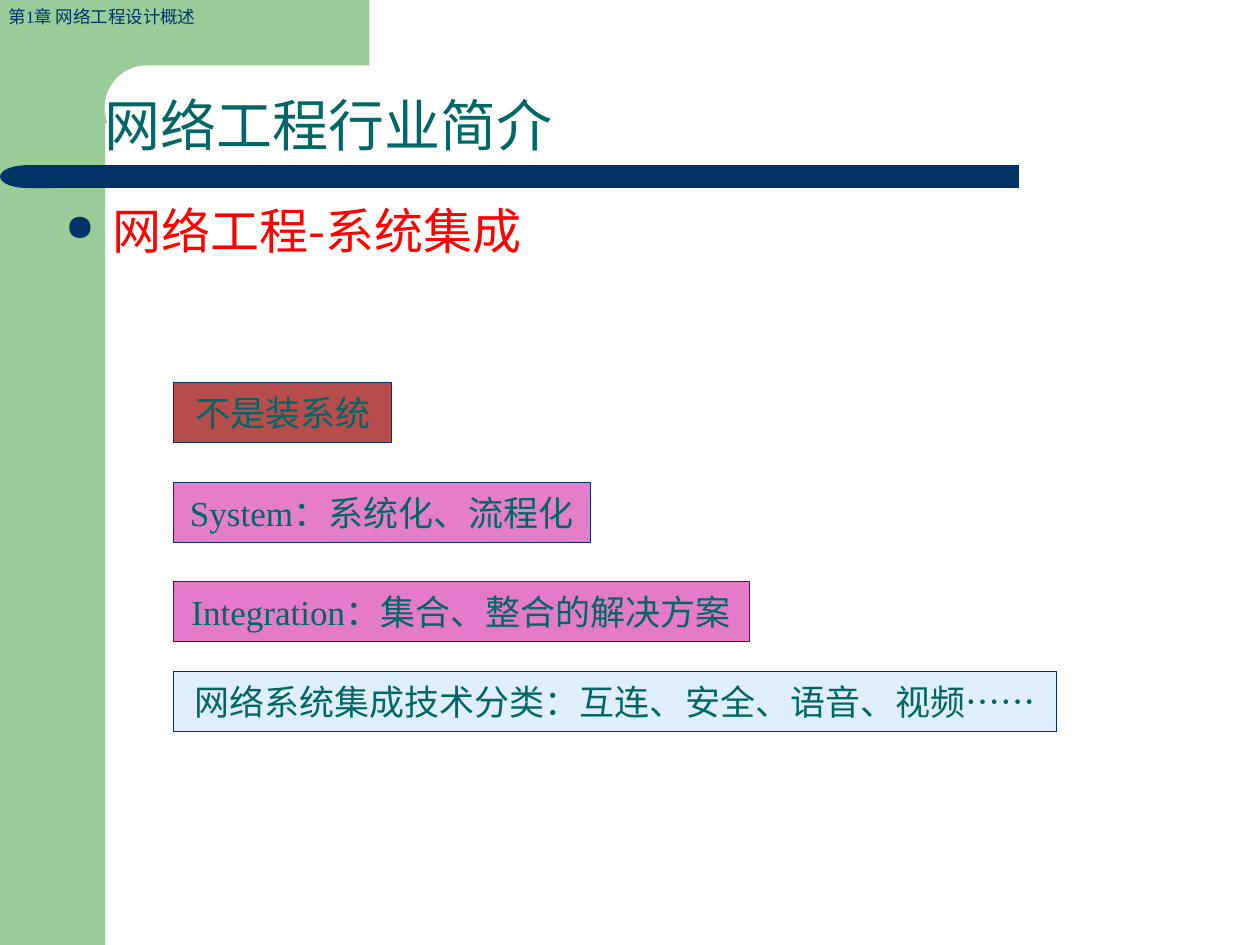
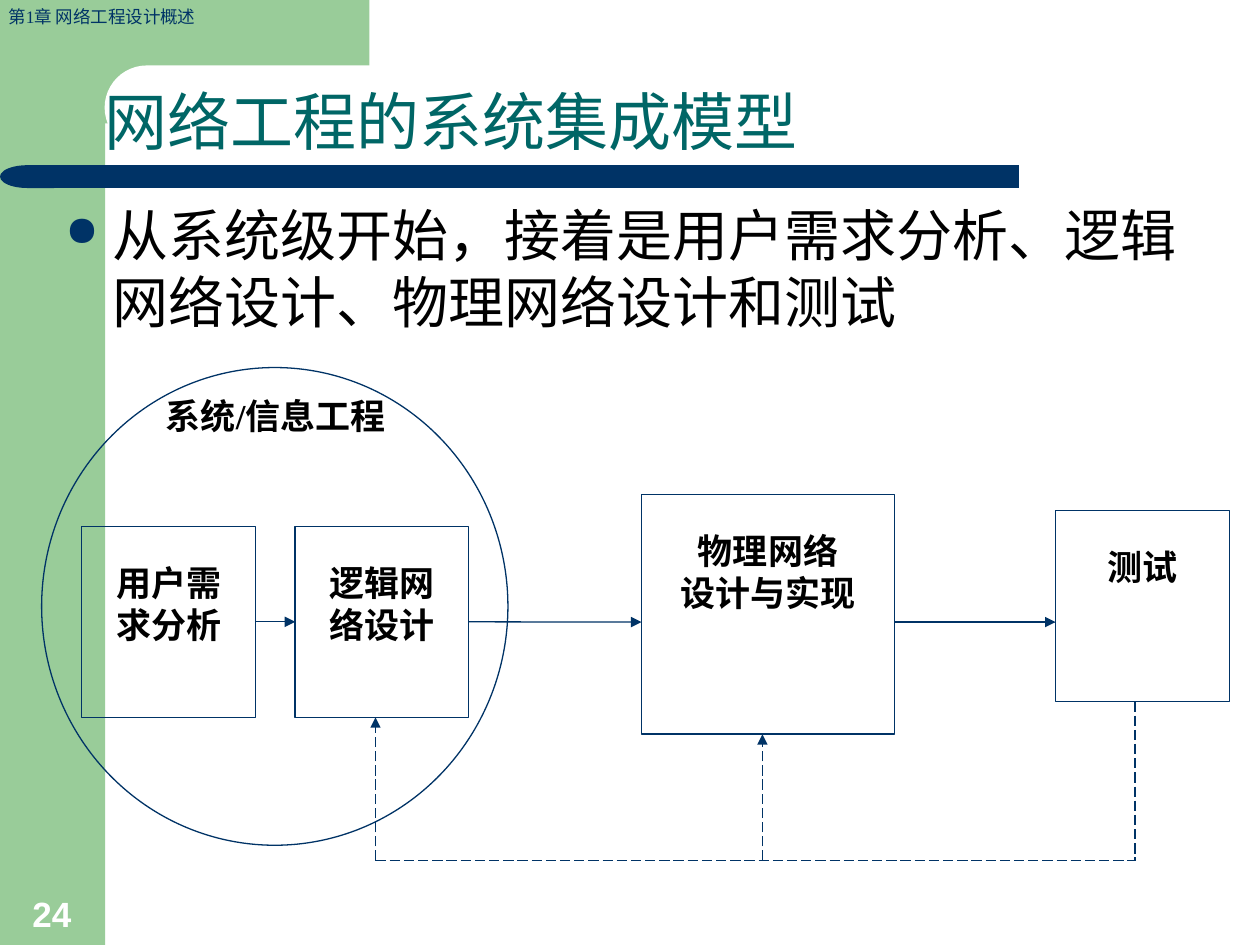
from lxml.etree import SubElement
from pptx import Presentation
from pptx.dml.color import RGBColor
from pptx.enum.dml import MSO_LINE
from pptx.enum.shapes import MSO_CONNECTOR, MSO_SHAPE
from pptx.enum.text import MSO_ANCHOR, MSO_AUTO_SIZE, PP_ALIGN
from pptx.oxml.ns import qn
from pptx.util import Cm, Pt

NAVY = RGBColor(0x00, 0x33, 0x66)
GREEN = RGBColor(0x99, 0xCC, 0x99)
TEAL = RGBColor(0x00, 0x66, 0x66)
DARK_RED = RGBColor(0x99, 0x00, 0x00)
MAGENTA = RGBColor(0xCC, 0x00, 0x99)
LIGHT_BLUE = RGBColor(0x99, 0xCC, 0xFF)
RED = RGBColor(0xFF, 0x00, 0x00)
BLACK = RGBColor(0x00, 0x00, 0x00)
WHITE = RGBColor(0xFF, 0xFF, 0xFF)
SERIF, SANS, CJK = "Times New Roman", "Arial", "Noto Sans CJK SC"

CHAPTER = "第1章 网络工程设计概述"
PAGE_NUMBER = "24"
INDUSTRY_TITLE = "网络工程行业简介"
INDUSTRY_POINT = "网络工程-系统集成"
MODEL_TITLE = "网络工程的系统集成模型"
MODEL_POINT = "从系统级开始，接着是用户需求分析、逻辑网络设计、物理网络设计和测试"
CIRCLE_LABEL = "系统/信息工程"

# All positions and sizes below are in centimetres.
FRAME_PARTS = [  # preset, left, top, width, height, colour
    (MSO_SHAPE.RECTANGLE, 0, 0, 2.12, 19.05, GREEN),
    (MSO_SHAPE.RECTANGLE, 1.3, 0, 6.15, 2.5 - 0.01, GREEN),
    (MSO_SHAPE.ROUNDED_RECTANGLE, 2.11, 1.32, 14.17, 1.7, WHITE),
    (MSO_SHAPE.RECTANGLE, 1.07, 3.33, 19.47, 0.46, NAVY),
    (MSO_SHAPE.FLOWCHART_DELAY, 0, 3.33, 1.09, 0.46, NAVY),
]
STATEMENTS = [  # text, top, width, colour, opacity in percent
    ("不是装系统", 7.72, 4.4, DARK_RED, 70),
    ("System：系统化、流程化", 9.73, 8.4, MAGENTA, 51),
    ("Integration：集合、整合的解决方案", 11.73, 11.6, MAGENTA, 52),
    ("网络系统集成技术分类：互连、安全、语音、视频……", 13.54, 17.8, LIGHT_BLUE, 31),
]
STAGES = {  # name: (lines, left, top, width, height)
    "needs": (["用户需", "求分析"], 1.65, 10.61, 3.5, 3.85),
    "logical": (["逻辑网", "络设计"], 5.95, 10.61, 3.5, 3.85),
    "physical": (["物理网络", "设计与实现"], 12.93, 9.97, 5.11, 4.83),
    "test": (["测试"], 21.28, 10.29, 3.5, 3.85),
}
FLOW_Y = 12.54
FEEDBACK_Y = 17.35
FEEDBACK_X = {"logical": 7.57, "physical": 15.37, "test": 22.88}


def write_text(shape, *lines, size, color, font=SERIF, bold=False, align=PP_ALIGN.LEFT,
               anchor=MSO_ANCHOR.TOP, wrap=True, top_inset=0.13):
    """Fill a shape with one paragraph per line and return the paragraphs."""
    frame = shape.text_frame
    frame.text = "\n".join(lines)
    frame.word_wrap = wrap
    frame.auto_size = MSO_AUTO_SIZE.NONE
    frame.vertical_anchor = anchor
    frame.margin_left = frame.margin_right = Cm(0.25)
    frame.margin_top, frame.margin_bottom = Cm(top_inset), Cm(0.13)
    for paragraph in frame.paragraphs:
        paragraph.alignment = align
        for run in paragraph.runs:
            run.font.name, run.font.size, run.font.bold = font, Pt(size), bold
            run.font.color.rgb = color
            east_asian = SubElement(run.font._element, qn("a:ea"))
            east_asian.set("typeface", CJK)
    return frame.paragraphs


def add_text(slide, *lines, box, **text_format):
    shape = slide.shapes.add_textbox(*map(Cm, box))
    return write_text(shape, *lines, **text_format)


def add_box(slide, preset, box, fill=None, opacity=100, line_width=None):
    shape = slide.shapes.add_shape(preset, *map(Cm, box))
    shape.shadow.inherit = False
    if fill is None:
        shape.fill.background()
    else:
        shape.fill.solid()
        shape.fill.fore_color.rgb = fill
        if opacity < 100:
            color = shape.element.spPr.find(".//" + qn("a:srgbClr"))
            SubElement(color, qn("a:alpha")).set("val", str(opacity * 1000))
    if line_width is None:
        shape.line.fill.background()
    else:
        shape.line.color.rgb = NAVY
        shape.line.width = Pt(line_width)
    return shape


def add_line(slide, start, end, dashed=False, arrow=True):
    line = slide.shapes.add_connector(MSO_CONNECTOR.STRAIGHT, *map(Cm, start + end))
    line.line.color.rgb = NAVY
    line.line.width = Pt(0.75)
    if dashed:
        line.line.dash_style = MSO_LINE.LONG_DASH
    if arrow:
        SubElement(line.line._get_or_add_ln(), qn("a:tailEnd")).set("type", "triangle")
    SubElement(line.element.spPr, qn("a:effectLst"))
    return line


def move_frame_to_layout(slide):
    """Draw the shared frame, then hand it to the layout so that every slide shows it."""
    layout = slide.slide_layout
    for placeholder in list(layout.placeholders):
        if placeholder.placeholder_format.idx != 0:
            layout.shapes.element.remove(placeholder.element)
    parts = []
    for preset, *box, color in FRAME_PARTS:
        part = add_box(slide, preset, box, fill=color)
        if preset == MSO_SHAPE.ROUNDED_RECTANGLE:
            part.adjustments[0] = 0.5
        if preset == MSO_SHAPE.FLOWCHART_DELAY:
            part.rotation = 180
        parts.append(part)
    chapter = slide.shapes.add_textbox(Cm(-0.08), Cm(0), Cm(4.45), Cm(0.69))
    write_text(chapter, CHAPTER, size=10, color=NAVY, wrap=False)
    for part in parts + [chapter]:
        layout.shapes.element.append(part.element)


def set_title(slide, text, size):
    title = slide.shapes.title
    title.left, title.top, title.width, title.height = map(Cm, (1.85, 1.22, 22.86, 2.11))
    paragraph, = write_text(title, text, size=size, color=TEAL, font=SANS,
                            anchor=MSO_ANCHOR.BOTTOM)
    paragraph.line_spacing = 0.9


def add_bullet(slide, text, height, **text_format):
    paragraph, = add_text(slide, text, box=(1.07, 3.91, 23.7, height), **text_format)
    paragraph.space_before = Pt(text_format["size"] / 4)
    properties = paragraph._p.get_or_add_pPr()
    properties.set("marL", str(Cm(0.95)))
    properties.set("indent", str(Cm(-0.95)))
    color = SubElement(properties, qn("a:buClr"))
    SubElement(color, qn("a:srgbClr")).set("val", str(NAVY))
    SubElement(properties, qn("a:buSzPct")).set("val", "75000")
    SubElement(properties, qn("a:buChar")).set("char", "●")


def build_industry(slide):
    set_title(slide, INDUSTRY_TITLE, 32)
    add_bullet(slide, INDUSTRY_POINT, 13.59, size=28, color=RED, font=CJK)
    for text, top, width, color, opacity in STATEMENTS:
        shape = add_box(slide, MSO_SHAPE.RECTANGLE, (3.5, top, width, 1.2),
                        fill=color, opacity=opacity, line_width=0.5)
        write_text(shape, text, size=20, color=TEAL, align=PP_ALIGN.CENTER,
                   anchor=MSO_ANCHOR.MIDDLE, wrap=False)


def build_model(slide):
    label_format = dict(size=20, color=BLACK, bold=True, align=PP_ALIGN.CENTER, wrap=False)
    add_text(slide, PAGE_NUMBER, box=(0.23, 17.88, 1.63, 1.09), size=20, color=WHITE,
             font=SANS, bold=True, align=PP_ALIGN.CENTER, anchor=MSO_ANCHOR.BOTTOM)
    set_title(slide, MODEL_TITLE, 36)
    add_bullet(slide, MODEL_POINT, 3.53, size=32, color=BLACK)
    add_box(slide, MSO_SHAPE.OVAL, (0.84, 7.41, 9.4, 9.63), line_width=0.75)
    add_text(slide, CIRCLE_LABEL, box=(2.92, 7.82, 5.28, 1.12), **label_format)

    boxes = {}
    for name, (lines, *box) in STAGES.items():
        boxes[name] = add_box(slide, MSO_SHAPE.RECTANGLE, box, line_width=0.75)
        write_text(boxes[name], *lines, top_inset=0.71, **label_format)

    names = list(STAGES)
    arrows = []
    for source, target in zip(names, names[1:]):
        _, left, _, width, _ = STAGES[source]
        arrows.append(add_line(slide, (left + width, FLOW_Y), (STAGES[target][1], FLOW_Y)))
    arrows[0].begin_connect(boxes["needs"], 3)
    arrows[0].end_connect(boxes["logical"], 1)
    arrows[1].begin_connect(boxes["logical"], 3)

    add_line(slide, (FEEDBACK_X["logical"], FEEDBACK_Y), (FEEDBACK_X["test"], FEEDBACK_Y),
             dashed=True, arrow=False)
    for name, x in FEEDBACK_X.items():
        _, _, top, _, height = STAGES[name]
        ends = [(x, FEEDBACK_Y), (x, top + height)]
        if name == "test":
            ends.reverse()
        add_line(slide, *ends, dashed=True, arrow=name != "test")


def main():
    presentation = Presentation()
    presentation.slide_width, presentation.slide_height = Cm(25.4), Cm(19.05)
    title_only = presentation.slide_layouts[5]
    industry, model = (presentation.slides.add_slide(title_only) for _ in range(2))
    move_frame_to_layout(industry)
    build_industry(industry)
    build_model(model)
    presentation.save("out.pptx")


if __name__ == "__main__":
    main()
